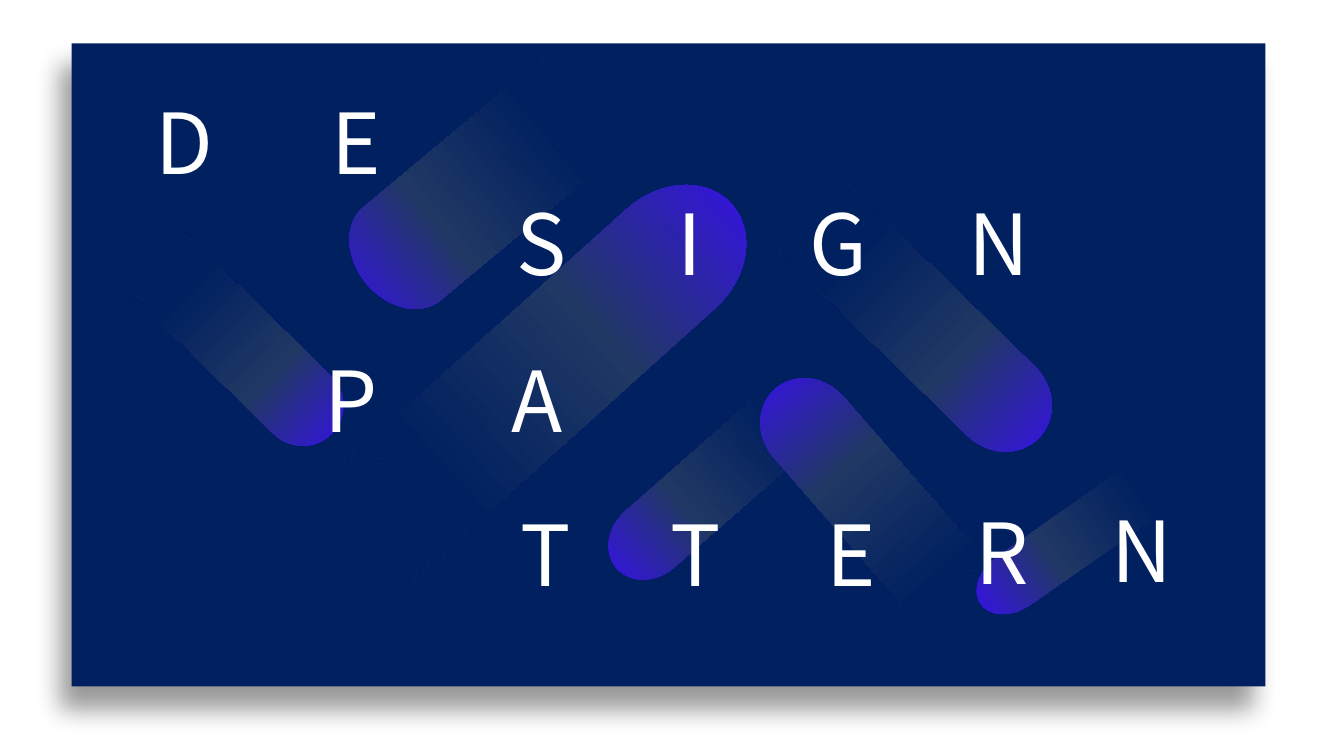
"""Build the DESIGN PATTERN title slide with gradient bars and scattered letters."""
from copy import deepcopy

from lxml import etree
from pptx import Presentation
from pptx.dml.color import RGBColor
from pptx.enum.shapes import MSO_SHAPE
from pptx.enum.text import MSO_AUTO_SIZE
from pptx.oxml.ns import qn
from pptx.util import Inches, Pt

RECT = MSO_SHAPE.RECTANGLE
BAR = MSO_SHAPE.FLOWCHART_STORED_DATA
GROW = MSO_AUTO_SIZE.SHAPE_TO_FIT_TEXT
FONT = "Noto Sans CJK KR"
COLORS = {"navy": "002060", "violet": "3A0CFC", "slate": "203864",
          "white": "FFFFFF", "shadow": "000000"}

prs = Presentation()
prs.slide_width, prs.slide_height = Inches(13.33), Inches(7.5)
s = prs.slides.add_slide(prs.slide_layouts[6])


def add_plain_shape(kind, left, top, width, height):
    sp = s.shapes.add_shape(kind, Inches(left), Inches(top), Inches(width), Inches(height))
    sp.shadow.inherit = False
    sp.line.fill.background()
    return sp


panel = add_plain_shape(RECT, 0.71, 0.43, 11.84, 6.38)
panel.fill.solid()
panel.fill.fore_color.rgb = RGBColor.from_string(COLORS["navy"])
effects = panel._element.spPr.find(qn("a:effectLst"))
shadow = etree.SubElement(effects, qn("a:outerShdw"), blurRad=str(Pt(18)), dist=str(Pt(18)),
                          dir=str(115 * 60000), algn="tr", rotWithShape="0")
shade = etree.SubElement(shadow, qn("a:srgbClr"), val=COLORS["shadow"])
etree.SubElement(shade, qn("a:alpha"), val="40000")

bars = [
    (3.31, 1.32, 2.79, 1.20, 320.2, 0.38),
    (3.02, 2.99, 4.86, 1.32, 138, 0.40),
    (1.19, 3.04, 2.45, 0.81, 224.4, 0.38),
    (7.62, 2.77, 3.13, 0.96, 224.4, 0.39),
    (5.79, 4.40, 2.63, 0.74, 318.7, 0.38),
    (7.17, 4.54, 3.03, 0.92, 48.9, 0.38),
    (9.51, 5.01, 2.41, 0.58, 325, 0.38),
]
for left, top, width, height, angle, middle in bars:
    sp = add_plain_shape(BAR, left, top, width, height)
    sp.rotation = angle
    sp.fill.gradient()
    sp.fill.gradient_angle = 0
    stop_list = sp._element.spPr.find(qn("a:gradFill")).find(qn("a:gsLst"))
    stop_list.append(deepcopy(stop_list[-1]))
    ramp = [("violet", 0), ("slate", middle), ("navy", 0.75)]
    for stop, (name, position) in zip(sp.fill.gradient_stops, ramp):
        stop.color.rgb = RGBColor.from_string(COLORS[name])
        stop.position = position

letter_rows = [
    (0.85, [("D", 1.44), ("E", 3.19)]),
    (1.85, [("S", 5.02), ("I", 6.62), ("G", 7.93), ("N", 9.51)]),
    (3.41, [("P", 3.12), ("A", 4.97)]),
    (4.94, [("T", 5.06), ("T", 6.55), ("E", 8.10)]),
    (4.92, [("R", 9.58)]),
    (4.90, [("N", 10.93)]),
]
for top, letters in letter_rows:
    for letter, left in letters:
        tf = s.shapes.add_textbox(Inches(left), Inches(top), Inches(0.99), Inches(1.11)).text_frame
        tf.word_wrap = False
        tf.auto_size = GROW
        r = tf.paragraphs[0].add_run()
        r.text = letter
        r.font.size = Pt(60)
        r.font.name = FONT
        r.font.color.rgb = RGBColor.from_string(COLORS["white"])

prs.save("out.pptx")
